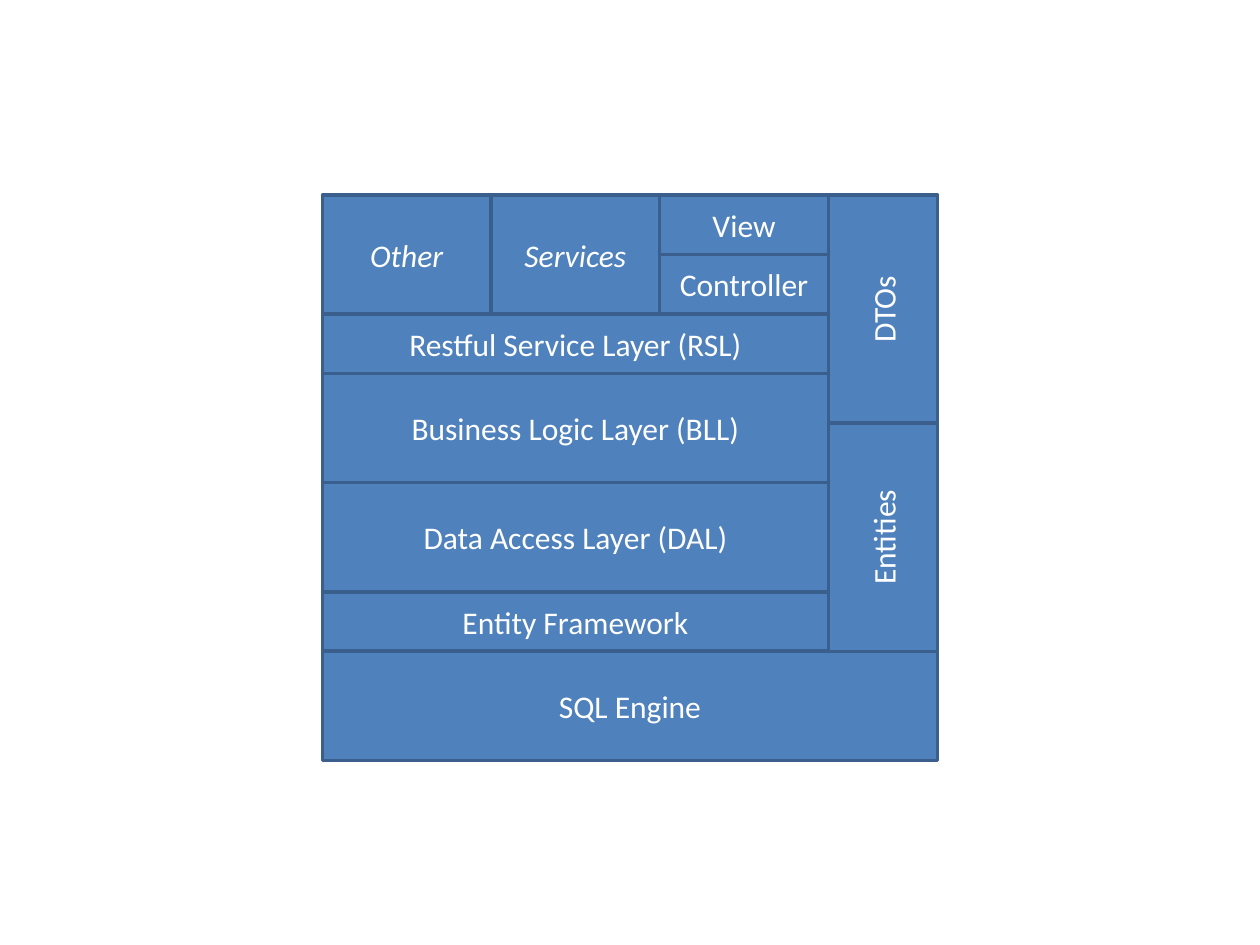
from dataclasses import dataclass
from itertools import accumulate

from pptx import Presentation
from pptx.dml.color import RGBColor
from pptx.enum.shapes import MSO_SHAPE
from pptx.enum.text import MSO_ANCHOR, PP_ALIGN
from pptx.util import Cm, Pt

LEFT, TOP = 6.5, 3.93
COL, ROW, TALL = 3.4, 1.2, 2.2
STACK_W = 3 * COL
SIDE_X = LEFT + STACK_W


@dataclass
class Block:
    text: str
    x: float
    y: float
    w: float
    h: float
    italic: bool = False
    vertical: bool = False


def rgb(value: str) -> RGBColor:
    return RGBColor.from_string(value)


def draw_block(slide, b: Block) -> None:
    w, h = (b.h, b.w) if b.vertical else (b.w, b.h)
    x, y = b.x + (b.w - w) / 2, b.y + (b.h - h) / 2
    s = slide.shapes.add_shape(MSO_SHAPE.RECTANGLE, Cm(x), Cm(y), Cm(w), Cm(h))
    if b.vertical:
        s.rotation = 270
    s.shadow.inherit = False
    s.fill.solid()
    s.fill.fore_color.rgb = rgb("4F81BD")
    s.line.color.rgb = rgb("3A5F8C")
    s.line.width = Pt(2)
    tf = s.text_frame
    tf.word_wrap = True
    tf.vertical_anchor = MSO_ANCHOR.MIDDLE
    p = tf.paragraphs[0]
    p.alignment = PP_ALIGN.CENTER
    r = p.add_run()
    r.text = b.text
    r.font.name = "Calibri"
    r.font.size = Pt(18)
    r.font.italic = b.italic
    r.font.color.rgb = rgb("FFFFFF")


prs = Presentation()
prs.slide_width, prs.slide_height = Cm(25.4), Cm(19.05)
slide = prs.slides.add_slide(prs.slide_layouts[6])

layers = [
    ("Restful Service Layer (RSL)", ROW),
    ("Business Logic Layer (BLL)", TALL),
    ("Data Access Layer (DAL)", TALL),
    ("Entity Framework", ROW),
]
tops = list(accumulate((h for _, h in layers), initial=TOP + 2 * ROW))
base_y = tops[-1]
side_h = (base_y - TOP) / 2

blocks = [Block(text, LEFT, y, STACK_W, h) for (text, h), y in zip(layers, tops)]
blocks.append(Block("SQL Engine", LEFT, base_y, STACK_W + TALL, TALL))
blocks += [
    Block(text, SIDE_X, TOP + i * side_h, TALL, side_h, vertical=True)
    for i, text in enumerate(["DTOs", "Entities"])
]
blocks += [
    Block(text, LEFT + i * COL, TOP, COL, 2 * ROW, italic=True)
    for i, text in enumerate(["Other", "Services"])
]
blocks += [
    Block(text, LEFT + 2 * COL, TOP + i * ROW, COL, ROW)
    for i, text in enumerate(["View", "Controller"])
]

for block in blocks:
    draw_block(slide, block)

prs.save("out.pptx")
